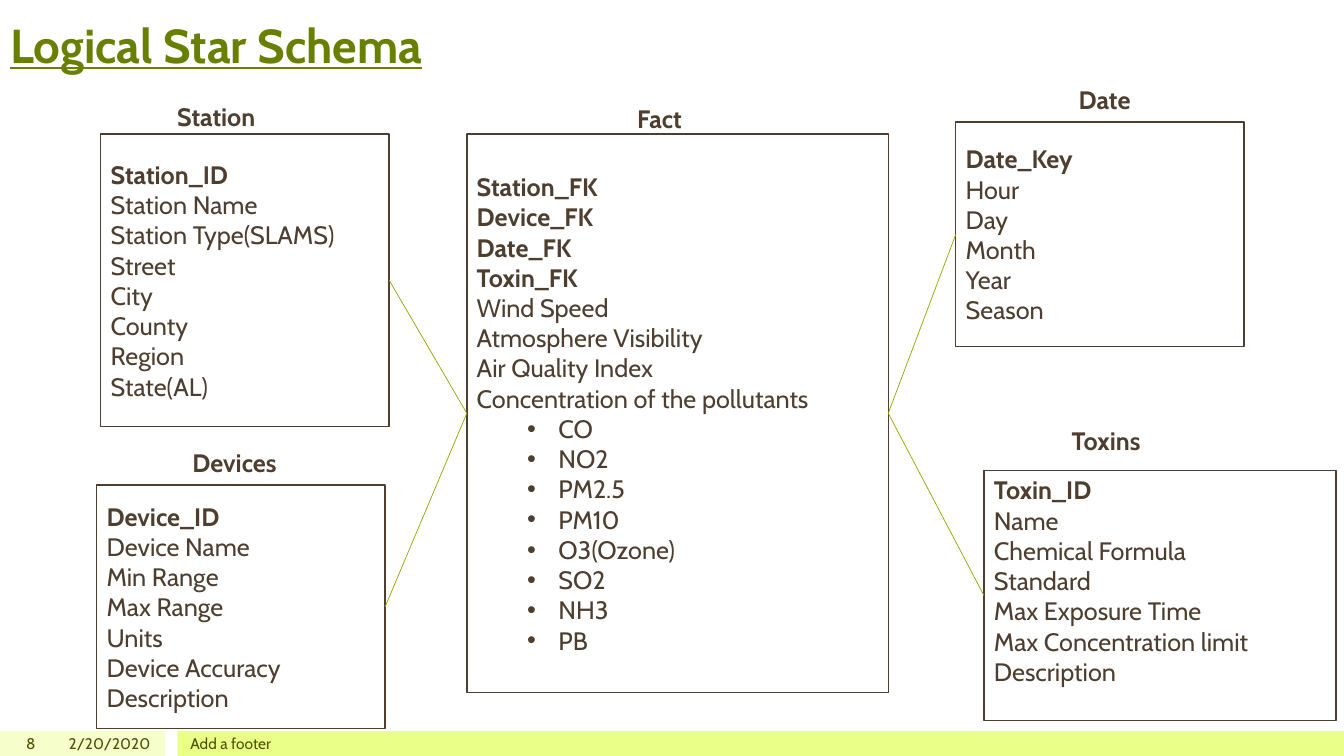
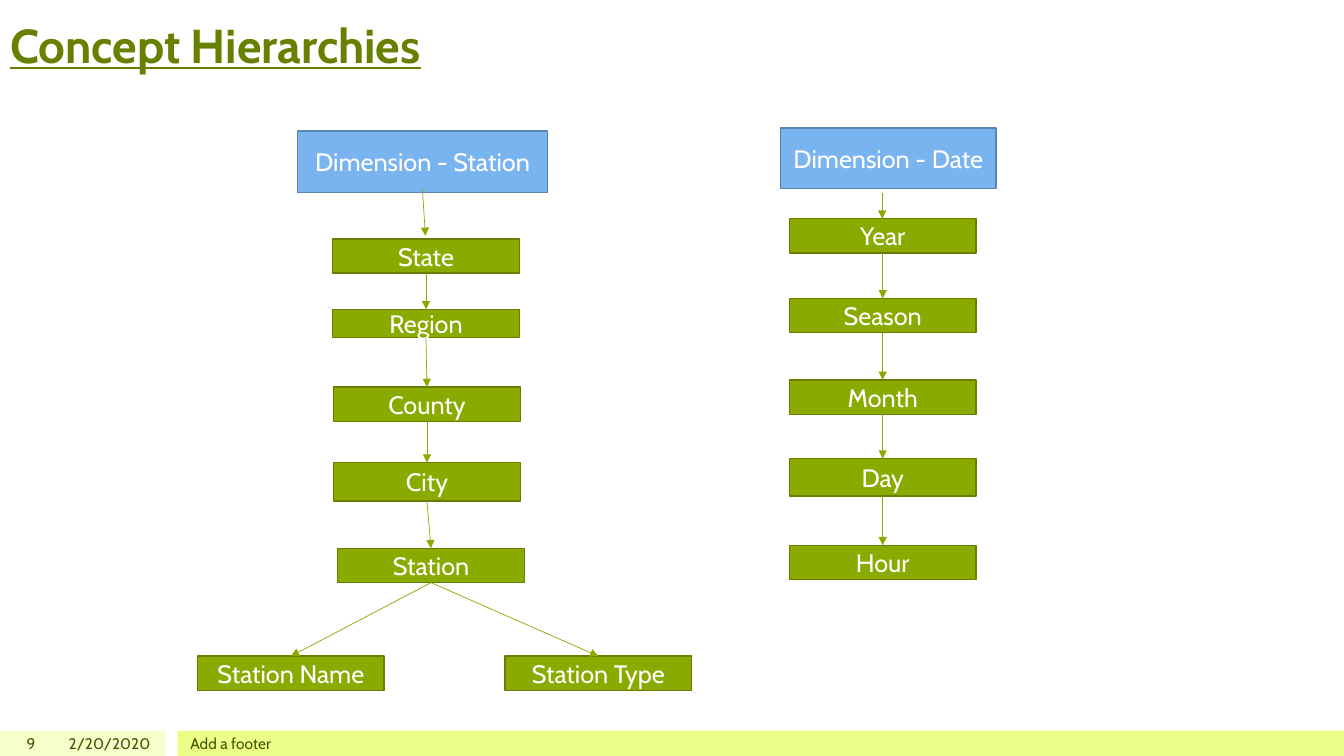
from dataclasses import dataclass
from itertools import pairwise

from lxml import etree
from pptx import Presentation
from pptx.dml.color import RGBColor
from pptx.enum.shapes import MSO_CONNECTOR, MSO_SHAPE
from pptx.enum.text import MSO_ANCHOR, MSO_AUTO_SIZE, PP_ALIGN
from pptx.oxml.ns import qn
from pptx.shapes.autoshape import Shape
from pptx.shapes.connector import Connector
from pptx.slide import Slide
from pptx.util import Emu, Pt

RECT = MSO_SHAPE.RECTANGLE
STRAIGHT = MSO_CONNECTOR.STRAIGHT
MIDDLE, BOTTOM, TOP = MSO_ANCHOR.MIDDLE, MSO_ANCHOR.BOTTOM, MSO_ANCHOR.TOP
LEFT, CENTER, RIGHT = PP_ALIGN.LEFT, PP_ALIGN.CENTER, PP_ALIGN.RIGHT
NO_FIT = MSO_AUTO_SIZE.NONE

# Shared look; 100 px make one inch
FONT = "Cabin"
WHITE, BROWN = "FFFFFF", "4D3E2F"
GREEN, GREEN_EDGE = "8BAA00", "677E00"
BLUE, BLUE_EDGE = "79B4F0", "5A85B2"
TITLE_GREEN, FOOTER_GREEN = "688000", "455500"
PALE_BAND, BRIGHT_BAND = "F6FFCC", "E9FF88"
SLIDE_W, SLIDE_H = 1333, 750
FOOTER_Y, FOOTER_H = 725, 25
SITE_TOP, SITE_LEFT, SITE_BOTTOM, SITE_RIGHT = range(4)


@dataclass(frozen=True)
class Box:
    left: int
    top: int
    width: int
    height: int


@dataclass(frozen=True)
class Entity:
    name: str
    heading: Box
    frame: Box
    keys: tuple[str, ...]
    fields: tuple[str, ...]
    bullets: tuple[str, ...] = ()
    bottom_inset: int = 5


@dataclass(frozen=True)
class Level:
    label: str
    left: int
    top: int
    height: int = 34
    width: int = 185


ENTITIES = (
    Entity("Station", Box(166, 96, 153, 40), Box(100, 133, 286, 290), ("Station_ID",),
           ("Station Name", "Station Type(SLAMS)", "Street", "City", "County",
            "Region", "State(AL)")),
    Entity("Date", Box(1060, 79, 84, 40), Box(948, 121, 286, 223), ("Date_Key",),
           ("Hour", "Day", "Month", "Year", "Season")),
    Entity("Devices", Box(181, 439, 119, 40), Box(96, 481, 286, 242), ("Device_ID",),
           ("Device Name", "Min Range", "Max Range", "Units", "Device Accuracy",
            "Description")),
    Entity("Toxins", Box(1053, 417, 91, 40), Box(976, 467, 349, 248), ("Toxin_ID",),
           ("Name", "Chemical Formula", "Standard", "Max Exposure Time",
            "Max Concentration limit", "Description"), bottom_inset=35),
    Entity("Fact", Box(622, 98, 159, 40), Box(463, 133, 418, 554),
           ("Station_FK", "Device_FK", "Date_FK", "Toxin_FK"),
           ("Wind Speed", "Atmosphere Visibility", "Air Quality Index",
            "Concentration of the pollutants"),
           ("CO", "NO2", "PM2.5", "PM10", "O3(Ozone)", "SO2", "NH3", "PB")),
)

STATION_DIMENSION = Level("Dimension - Station", 295, 130, 61, 248)
STATION_LEVELS = (
    Level("State", 330, 237), Level("Region", 330, 307, 28), Level("County", 331, 384),
    Level("City", 331, 459, 38), Level("Station", 335, 544),
)
STATION_LEAVES = (Level("Station Name", 196, 651), Level("Station Type", 501, 651))
DATE_DIMENSION = Level("Dimension - Date", 774, 127, 60, 214)
DATE_LEVELS = (
    Level("Year", 783, 217), Level("Season", 783, 296), Level("Month", 783, 377),
    Level("Day", 783, 455, 37), Level("Hour", 783, 541),
)


def px(length: int) -> Emu:
    return Emu(length * 9144)


def color(code: str) -> RGBColor:
    return RGBColor.from_string(code)


def style(paragraph, size: int, code: str, bold: bool = False, align=LEFT) -> None:
    paragraph.alignment = align
    font = paragraph.font
    font.name, font.size, font.bold = FONT, Pt(size), bold
    font.color.rgb = color(code)


def add_rect(slide: Slide, box: Box, fill: str, edge: str | None = None) -> Shape:
    rect = slide.shapes.add_shape(RECT, px(box.left), px(box.top), px(box.width), px(box.height))
    rect.shadow.inherit = False
    rect.fill.solid()
    rect.fill.fore_color.rgb = color(fill)
    if edge:
        rect.line.color.rgb = color(edge)
        rect.line.width = Pt(1)
    else:
        rect.line.fill.background()
    rect.text_frame.word_wrap = True
    rect.text_frame.vertical_anchor = MIDDLE
    return rect


def add_label(slide: Slide, box: Box, text: str, size: int, code: str,
              bold: bool = False, align=LEFT, anchor=TOP) -> None:
    label = slide.shapes.add_textbox(px(box.left), px(box.top), px(box.width), px(box.height))
    frame = label.text_frame
    frame.word_wrap, frame.vertical_anchor = True, anchor
    frame.text = text
    style(frame.paragraphs[0], size, code, bold, align)


def add_line(slide: Slide, start: tuple[int, int] = (0, 0), end: tuple[int, int] = (0, 0),
             arrow: bool = False) -> Connector:
    line = slide.shapes.add_connector(STRAIGHT, *map(px, start + end))
    line.line.color.rgb = color(GREEN)
    line.line.width = Pt(0.5)
    properties = line._element.spPr
    if arrow:
        etree.SubElement(properties.find(qn("a:ln")), qn("a:tailEnd"), type="triangle")
    etree.SubElement(properties, qn("a:effectLst"))
    return line


def join(slide: Slide, first: Shape, first_site: int, second: Shape, second_site: int,
         arrow: bool = False) -> None:
    line = add_line(slide, arrow=arrow)
    line.begin_connect(first, first_site)
    line.end_connect(second, second_site)


def add_bullet(paragraph) -> None:
    paragraph.level = 1
    properties = paragraph._p.get_or_add_pPr()
    properties.set("marL", str(px(81)))
    properties.set("indent", str(px(-31)))
    etree.SubElement(properties, qn("a:buFont"), typeface="Arial")
    etree.SubElement(properties, qn("a:buChar"), char="•")


def new_slide(deck, title_text: str, number: int) -> Slide:
    slide = deck.slides.add_slide(deck.slide_layouts.get_by_name("Title Only"))
    # Footer bands and their text
    add_rect(slide, Box(0, FOOTER_Y, 164, FOOTER_H), PALE_BAND)
    add_rect(slide, Box(176, FOOTER_Y, SLIDE_W - 176, FOOTER_H), BRIGHT_BAND)
    for left, width, text, align in (
        (0, 45, str(number), RIGHT),
        (50, 109, "2/20/2020", RIGHT),
        (179, 1000, "Add a footer", LEFT),
    ):
        add_label(slide, Box(left, FOOTER_Y, width, FOOTER_H), text, 11, FOOTER_GREEN,
                  align=align, anchor=MIDDLE)
    # Title
    title = slide.shapes.title
    title.left, title.top, title.width, title.height = map(px, (0, 0, SLIDE_W, 78))
    frame = title.text_frame
    frame.text = title_text
    frame.auto_size, frame.vertical_anchor = NO_FIT, BOTTOM
    style(frame.paragraphs[0], 34, TITLE_GREEN, bold=True)
    frame.paragraphs[0].font.underline = True
    frame.paragraphs[0].line_spacing = 0.9
    return slide


def add_entity(slide: Slide, entity: Entity) -> Shape:
    table = add_rect(slide, entity.frame, WHITE, BROWN)
    frame = table.text_frame
    frame.margin_bottom = px(entity.bottom_inset)
    rows = entity.keys + entity.fields + entity.bullets
    frame.text = "\n".join(rows)
    for index, paragraph in enumerate(frame.paragraphs):
        style(paragraph, 18, BROWN, bold=index < len(entity.keys))
        if index >= len(rows) - len(entity.bullets):
            add_bullet(paragraph)
    add_label(slide, entity.heading, entity.name, 18, BROWN, bold=True)
    return table


def add_level(slide: Slide, level: Level, fill: str = GREEN, edge: str = GREEN_EDGE) -> Shape:
    node = add_rect(slide, Box(level.left, level.top, level.width, level.height), fill, edge)
    node.text_frame.text = level.label
    style(node.text_frame.paragraphs[0], 18, WHITE, align=CENTER)
    return node


def add_chain(slide: Slide, dimension: Level, levels: tuple[Level, ...]) -> Shape:
    add_level(slide, dimension, BLUE, BLUE_EDGE)
    nodes = [add_level(slide, level) for level in levels]
    for upper, lower in pairwise(nodes):
        join(slide, upper, SITE_BOTTOM, lower, SITE_TOP, arrow=True)
    return nodes[-1]


def build_star_schema(deck) -> None:
    slide = new_slide(deck, "Logical Star Schema", 8)
    tables = {entity.name: add_entity(slide, entity) for entity in ENTITIES}
    for name, site, fact_site in (
        ("Station", SITE_RIGHT, SITE_LEFT),
        ("Date", SITE_LEFT, SITE_RIGHT),
        ("Devices", SITE_RIGHT, SITE_LEFT),
        ("Toxins", SITE_LEFT, SITE_RIGHT),
    ):
        join(slide, tables[name], site, tables["Fact"], fact_site)


def build_hierarchies(deck) -> None:
    slide = new_slide(deck, "Concept Hierarchies", 9)
    # Station dimension, ending in two leaves
    station = add_chain(slide, STATION_DIMENSION, STATION_LEVELS)
    add_line(slide, (419, 188), (422, 234), arrow=True)
    for leaf in STATION_LEAVES:
        join(slide, station, SITE_BOTTOM, add_level(slide, leaf), SITE_TOP, arrow=True)
    # Date dimension
    add_chain(slide, DATE_DIMENSION, DATE_LEVELS)
    add_line(slide, (875, 191), (875, 217), arrow=True)


def main() -> None:
    deck = Presentation()
    deck.slide_width, deck.slide_height = px(SLIDE_W), px(SLIDE_H)
    build_star_schema(deck)
    build_hierarchies(deck)
    deck.save("out.pptx")


if __name__ == "__main__":
    main()
